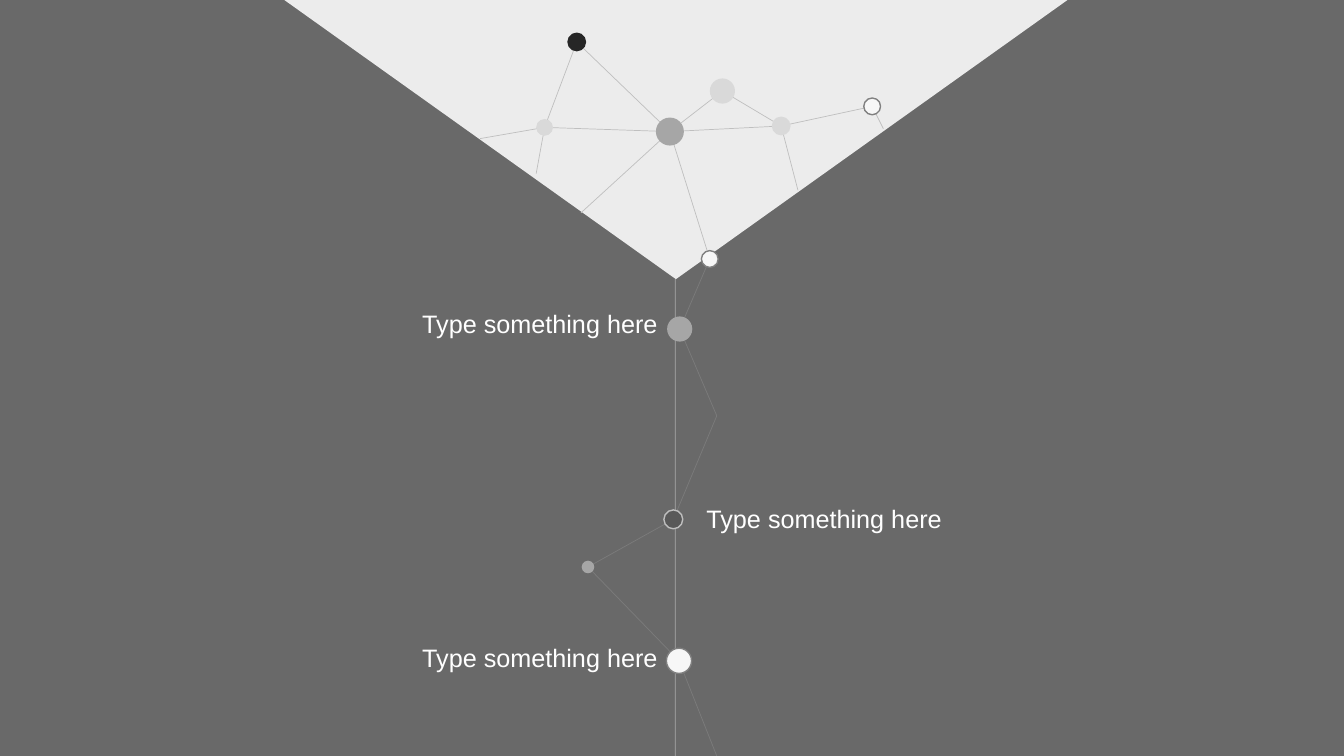
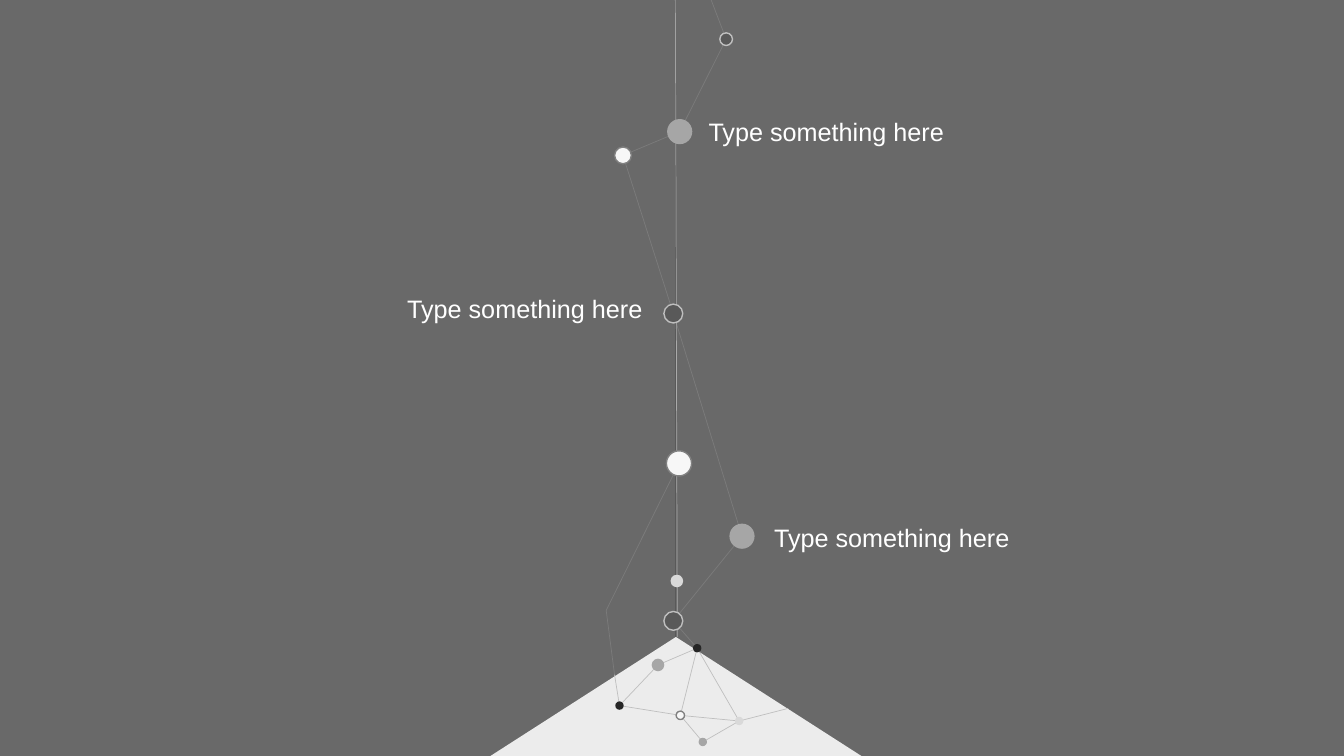
import itertools

import pptx
import pptx.dml.color
import pptx.enum.shapes
import pptx.enum.text
import pptx.oxml.ns
import pptx.util
from lxml import etree

# Shared look
WIDTH, HEIGHT = 960, 540
BACKGROUND, PEAK, LINK = "696969", "ECECEC", "BFBFBF"
AXIS, AXIS_SHADE, LABEL_COLOR = "FFFFFF", "595959", "FFFFFF"
LABEL_FONT, LABEL_POINTS = "Arial", 18
LABEL_WIDTH, LABEL_HEIGHT = 188.6, 28.8
AXIS_X, PEAK_X = 482.4, 482.8
AXIS_OPACITY, FAINT_OPACITY = 43, 21

# Dot styles: fill, outline
DOT_STYLES = {
    "white": ("F7F7F7", "808080"),
    "dark": ("595959", "BFBFBF"),
    "black": ("262626", None),
    "gray": ("A6A6A6", None),
    "light": ("D9D9D9", None),
}
DIAMETERS = {"tiny": 6, "small": 9, "medium": 12, "big": 13.5, "large": 18, "hub": 20}

# Dots: centre x, centre y, size, style. Joints: bare points where links bend or end.
# Chains name the dots and joints a link passes through.
SLIDES = [
    {
        "peak_size": (559.4, 199.4),
        "peak_down": True,
        "axis_lean": 0,
        "dots": {
            "top": (412, 30, "big", "black"),
            "left": (389, 91, "medium", "light"),
            "hub": (478.5, 94, "hub", "gray"),
            "crown": (516, 65, "large", "light"),
            "right": (558, 90, "big", "light"),
            "far": (623, 76, "medium", "white"),
            "gate": (507, 185, "medium", "white"),
            "first": (485.5, 235, "large", "gray"),
            "second": (481, 371, "big", "dark"),
            "side": (420, 405, "small", "gray"),
            "third": (485, 472, "large", "white"),
        },
        "joints": {
            "bend": (512, 297),
            "exit": (512, 540),
            "far edge": (631, 92),
            "left edge": (343, 99),
            "left end": (383, 124),
            "hub end": (415, 152),
            "right end": (570, 136),
        },
        "faint_chains": [
            ["gate", "first", "bend", "second", "side", "third", "exit"],
        ],
        "chains": [
            ["left edge", "left", "hub", "right", "far", "far edge"],
            ["left end", "left", "top", "hub", "crown", "right", "right end"],
            ["hub end", "hub", "gate"],
        ],
        "labels": [
            ("Type something here", 294.5, 216.7),
            ("Type something here", 497.5, 355.7),
            ("Type something here", 294.5, 455),
        ],
    },
    {
        "peak_size": (265, 85),
        "peak_down": False,
        "axis_lean": 1.4,
        "dots": {
            "ring": (518.7, 28, "small", "dark"),
            "first": (485.5, 94, "large", "gray"),
            "side": (445, 111, "medium", "white"),
            "second": (481, 224, "big", "dark"),
            "third": (485, 331, "large", "white"),
            "offshoot": (530, 383, "large", "gray"),
            "bead": (483.5, 415, "small", "light"),
            "lower": (481, 443.5, "big", "dark"),
            "apex": (498, 463, "tiny", "black"),
            "slope": (470, 475, "small", "gray"),
            "base": (442.5, 504, "tiny", "black"),
            "center": (486, 511, "tiny", "white"),
            "corner": (528, 515, "tiny", "light"),
            "bottom": (502, 530, "tiny", "gray"),
        },
        "joints": {
            "entry": (508, 0),
            "bend": (433, 436),
            "slope edge": (439, 482),
            "exit": (563, 506),
        },
        "faint_chains": [
            ["entry", "ring", "first", "side", "second", "offshoot", "lower", "apex"],
            ["third", "bend", "slope edge"],
        ],
        "chains": [
            ["slope edge", "base", "slope", "apex", "center", "bottom", "corner", "apex"],
            ["base", "center", "corner", "exit"],
        ],
        "labels": [
            ("Type something here", 499, 79.9),
            ("Type something here", 283.7, 205.9),
            ("Type something here", 545.8, 369.4),
        ],
    },
]


def color(hex_string):
    return pptx.dml.color.RGBColor.from_string(hex_string)


def points(*values):
    return [pptx.util.Pt(value) for value in values]


def add_shape(slide, kind, box, fill, outline=None):
    shape = slide.shapes.add_shape(kind, *points(*box))
    shape.shadow.inherit = False
    shape.fill.solid()
    shape.fill.fore_color.rgb = color(fill)
    if outline:
        shape.line.color.rgb = color(outline)
        shape.line.width = pptx.util.Pt(1)
    else:
        shape.line.fill.background()
    return shape


def add_line(slide, start, end, hex_string, width=0.5, opacity=100):
    connector = slide.shapes.add_connector(
        pptx.enum.shapes.MSO_CONNECTOR.STRAIGHT, *points(*start, *end))
    connector.line.color.rgb = color(hex_string)
    connector.line.width = pptx.util.Pt(width)
    qualified = pptx.oxml.ns.qn
    properties = connector._element.spPr
    if opacity < 100:
        solid_color = properties.find(".//" + qualified("a:srgbClr"))
        alpha = etree.SubElement(solid_color, qualified("a:alpha"))
        alpha.set("val", str(opacity * 1000))
    etree.SubElement(properties, qualified("a:effectLst"))


def add_peak_and_axis(slide, content):
    width, height = content["peak_size"]
    down = content["peak_down"]
    peak_top = 0 if down else HEIGHT - height
    axis_top, axis_bottom = (height, HEIGHT) if down else (0, peak_top)
    if not down:
        add_line(slide, (AXIS_X, 0), (AXIS_X, HEIGHT), AXIS_SHADE, width=1)
    peak = add_shape(slide, pptx.enum.shapes.MSO_SHAPE.ISOSCELES_TRIANGLE,
                     (PEAK_X - width / 2, peak_top, width, height), PEAK)
    peak.rotation = 180 if down else 0
    add_line(slide, (AXIS_X, axis_top), (AXIS_X + content["axis_lean"], axis_bottom),
             AXIS, opacity=AXIS_OPACITY)


def add_network(slide, content):
    places = dict(content["joints"])
    for name, dot in content["dots"].items():
        places[name] = dot[:2]
    # Links first, so that the dots cover their ends
    for key, opacity in (("faint_chains", FAINT_OPACITY), ("chains", 100)):
        for chain in content[key]:
            for start, end in itertools.pairwise(chain):
                add_line(slide, places[start], places[end], LINK, opacity=opacity)
    for center_x, center_y, size, style in content["dots"].values():
        diameter = DIAMETERS[size]
        box = (center_x - diameter / 2, center_y - diameter / 2, diameter, diameter)
        add_shape(slide, pptx.enum.shapes.MSO_SHAPE.OVAL, box, *DOT_STYLES[style])


def add_label(slide, text, left, top):
    text_box = slide.shapes.add_textbox(*points(left, top, LABEL_WIDTH, LABEL_HEIGHT))
    text_frame = text_box.text_frame
    text_frame.word_wrap = True
    text_frame.auto_size = pptx.enum.text.MSO_AUTO_SIZE.SHAPE_TO_FIT_TEXT
    text_frame.text = text
    font = text_frame.paragraphs[0].runs[0].font
    font.name = LABEL_FONT
    font.size = pptx.util.Pt(LABEL_POINTS)
    font.color.rgb = color(LABEL_COLOR)


def main():
    presentation = pptx.Presentation()
    presentation.slide_width, presentation.slide_height = points(WIDTH, HEIGHT)
    for content in SLIDES:
        slide = presentation.slides.add_slide(presentation.slide_layouts[6])
        slide.background.fill.solid()
        slide.background.fill.fore_color.rgb = color(BACKGROUND)
        add_peak_and_axis(slide, content)
        add_network(slide, content)
        for label in content["labels"]:
            add_label(slide, *label)
    presentation.save("out.pptx")


if __name__ == "__main__":
    main()
